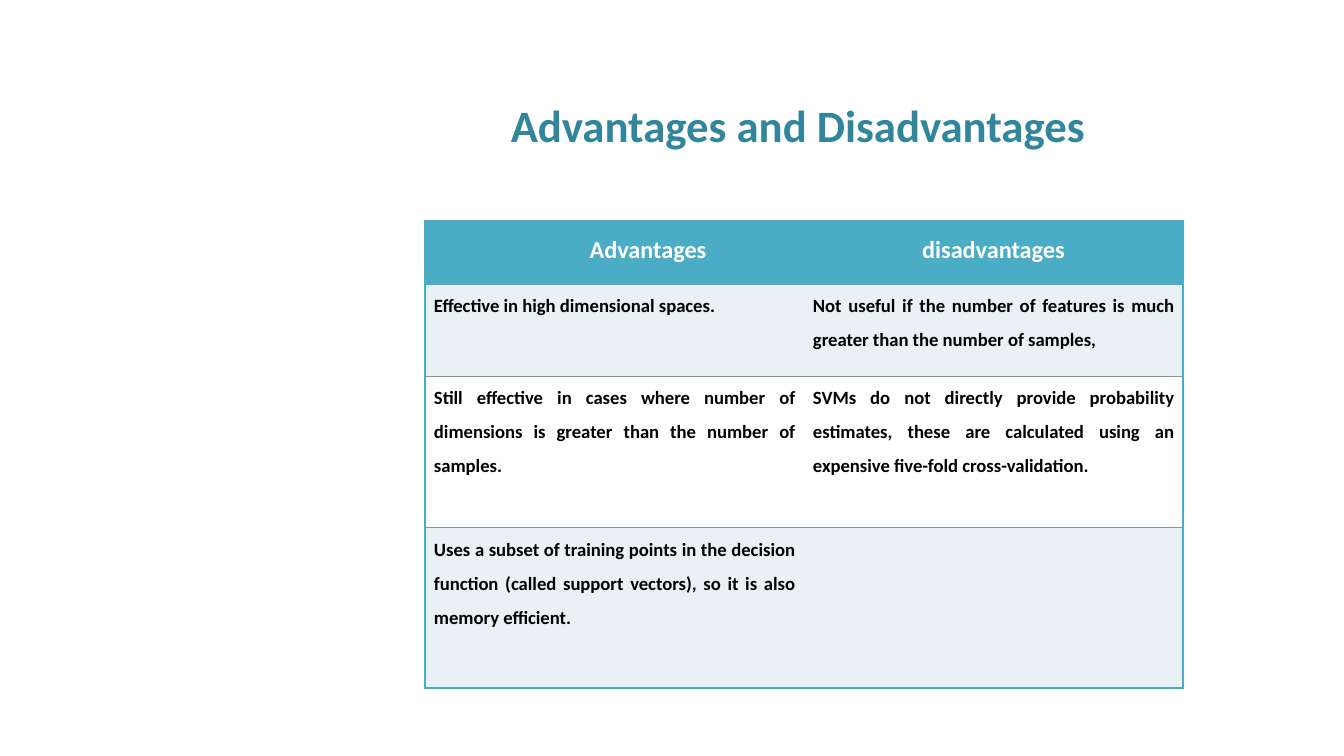
from lxml import etree
from pptx import Presentation
from pptx.dml.color import RGBColor
from pptx.enum.text import MSO_ANCHOR, MSO_AUTO_SIZE, PP_ALIGN
from pptx.oxml.ns import qn
from pptx.util import Pt

MID, JUST = PP_ALIGN.CENTER, PP_ALIGN.JUSTIFY
TOP, CENTER = MSO_ANCHOR.TOP, MSO_ANCHOR.MIDDLE
FIXED = MSO_AUTO_SIZE.NONE

# Content
TITLE = "Advantages and Disadvantages "
ROWS = [
    ("Advantages", "disadvantages"),
    ("Effective in high dimensional spaces.",
     "Not useful if the number of features is much greater than "
     "the number of samples,"),
    ("Still effective in cases where number of dimensions is greater than "
     "the number of samples.",
     "SVMs do not directly provide probability estimates, these are "
     "calculated using an expensive five-fold cross-validation."),
    ("Uses a subset of training points in the decision function "
     "(called support vectors), so it is also memory efficient.", ""),
]

# Layout in px and formats
SLIDE = (1344, 756)
TITLE_BOX = (470, 69, 650, 84)
LEFT, UP, COL = 425, 221, 379
HIGH = [63, 92, 152, 160]
PAD = 9
TEAL, GREY = "4BACC6", "7F9A9F"
FILLS = [TEAL, "E9F1F5", "FFFFFF", "E9F1F5"]
HEAD = dict(size=13, color="FFFFFF", align=MID, before=10)
BODY = dict(size=10, color="000000", align=JUST, before=10)
NAME = dict(size=24, color="31859C", align=MID, before=6, after=14, indent=16)


def px(n):
    return round(n * 914400 / 134.4)


def rgb(code):
    return RGBColor.from_string(code)


def put(frame, text, size, color, align, before, after=0, indent=0):
    para = frame.paragraphs[0]
    look = dict(alignment=align, line_spacing=1.5,
                space_before=Pt(before), space_after=Pt(after))
    for key, val in look.items():
        setattr(para, key, val)
    props = para._p.get_or_add_pPr()
    props.set("marL", str(px(indent)))
    props.set("indent", "0")
    font = para.font
    if text:
        run = para.add_run()
        run.text = text
        font = run.font
    for key, val in dict(name="Calibri", size=Pt(size), bold=True).items():
        setattr(font, key, val)
    font.color.rgb = rgb(color)


def edge(cell, lines):
    """Set borders ahead of the fill, in schema order L, R, T, B."""
    props = cell._tc.get_or_add_tcPr()
    for spot, side in enumerate("LRTB"):
        line = etree.Element(qn(f"a:ln{side}"))
        if side in lines:
            color, width = lines[side]
            line.set("w", str(Pt(width)))
            fill = etree.SubElement(line, qn("a:solidFill"))
            etree.SubElement(fill, qn("a:srgbClr"), val=color)
        else:
            etree.SubElement(line, qn("a:noFill"))
        props.insert(spot, line)


deck = Presentation()
deck.slide_width, deck.slide_height = map(px, SLIDE)
slide = deck.slides.add_slide(deck.slide_layouts[5])

# Title
title = slide.shapes.title
for key, val in zip(("left", "top", "width", "height"), TITLE_BOX):
    setattr(title, key, px(val))
frame = title.text_frame
frame.auto_size = FIXED
frame.word_wrap = True
frame.vertical_anchor = CENTER
put(frame, TITLE, **NAME)

# Table
box = (LEFT, UP, 2 * COL, sum(HIGH))
table = slide.shapes.add_table(len(ROWS), 2, *map(px, box)).table
for col in table.columns:
    col.width = px(COL)
last = len(ROWS) - 1
for r, texts in enumerate(ROWS):
    table.rows[r].height = px(HIGH[r])
    for c, text in enumerate(texts):
        cell = table.cell(r, c)
        look = dict(margin_left=px(PAD), margin_right=px(PAD),
                    margin_top=0, margin_bottom=0, vertical_anchor=TOP)
        for key, val in look.items():
            setattr(cell, key, val)
        cell.fill.solid()
        cell.fill.fore_color.rgb = rgb(FILLS[r])
        indent = 67 if r == c == 0 else 0
        put(cell.text_frame, text, indent=indent, **(BODY if r else HEAD))

        # Teal frame, thin grey rules between body rows
        thick, thin = (TEAL, 1), (GREY, 0.5)
        lines = {"R" if c else "L": thick}
        lines["T"] = thin if r > 1 else thick
        lines["B"] = thin if 0 < r < last else thick
        edge(cell, lines)

deck.save("out.pptx")
